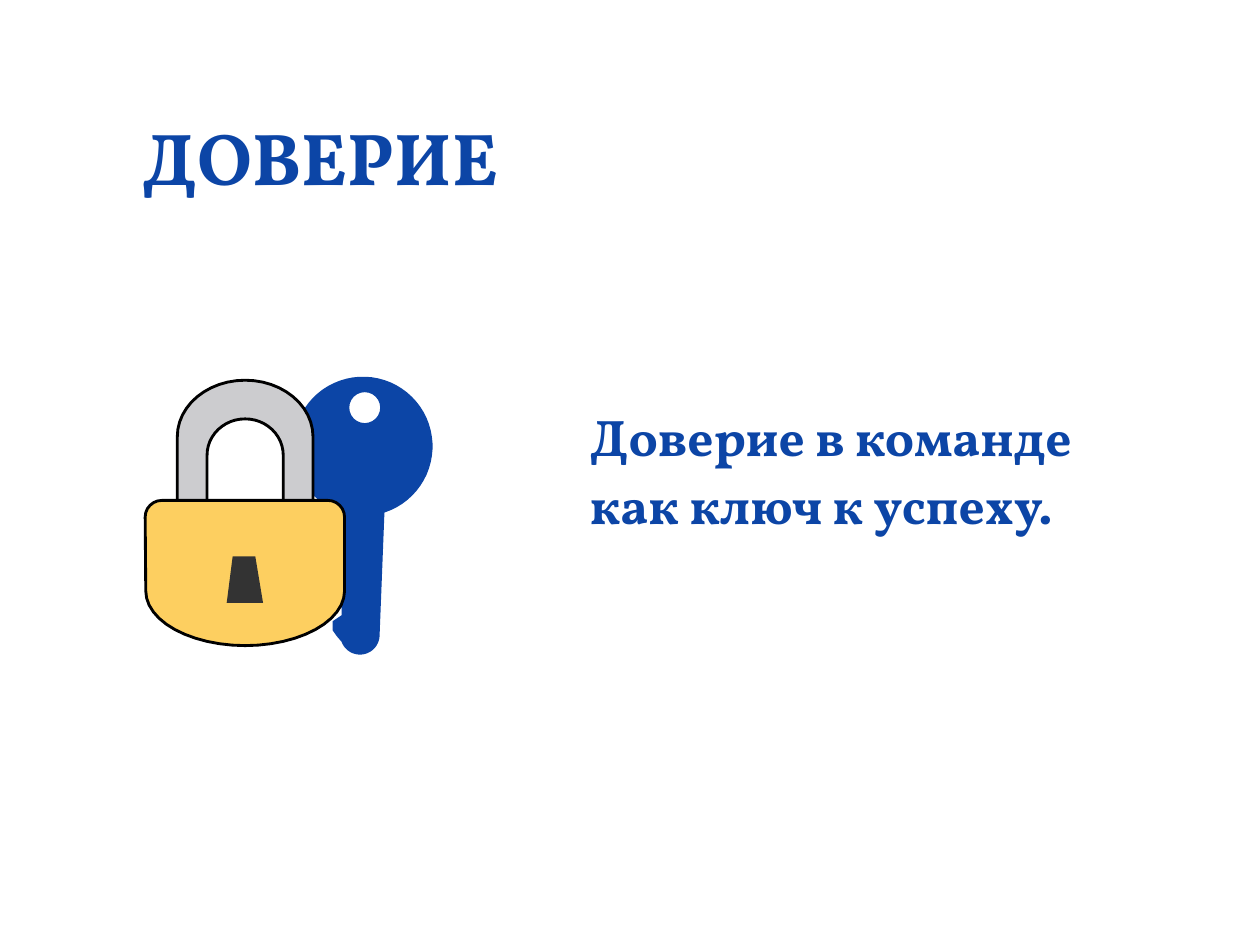
from math import cos, radians, sin

from pptx import Presentation
from pptx.dml.color import RGBColor
from pptx.enum import text
from pptx.util import Cm, Pt

BLUE = RGBColor(0x0C, 0x45, 0xA6)
SILVER = RGBColor(0xCC, 0xCC, 0xCF)
GOLD = RGBColor(0xFD, 0xCF, 0x60)
BLACK = RGBColor(0x00, 0x00, 0x00)
DARK_GREY = RGBColor(0x33, 0x33, 0x33)
FONT = "Vollkorn"


def arc(center_x, center_y, radius_x, radius_y, start, end, steps=24):
    angles = [radians(start + (end - start) * i / steps) for i in range(steps + 1)]
    return [(center_x + radius_x * cos(a), center_y + radius_y * sin(a)) for a in angles]


def add_outline(group, contours, fill, line=None):
    contours = [[(Cm(x), Cm(y)) for x, y in contour] for contour in contours]
    builder = group.shapes.build_freeform(*contours[0][0])
    builder.add_line_segments(contours[0][1:], close=True)
    for contour in contours[1:]:
        builder.move_to(*contour[0])
        builder.add_line_segments(contour[1:], close=True)
    shape = builder.convert_to_shape()
    shape.shadow.inherit = False
    shape.fill.solid()
    shape.fill.fore_color.rgb = fill
    if line is None:
        shape.line.fill.background()
    else:
        shape.line.color.rgb = line
        shape.line.width = Pt(1.37)


def add_text(slide, words, left, top, width, height, size, line_spacing=1.0):
    box = slide.shapes.add_textbox(Cm(left), Cm(top), Cm(width), Cm(height))
    frame = box.text_frame
    frame.margin_left = frame.margin_top = frame.margin_right = frame.margin_bottom = 0
    frame.word_wrap = True
    frame.auto_size = text.MSO_AUTO_SIZE.SHAPE_TO_FIT_TEXT
    frame.text = words
    paragraph = frame.paragraphs[0]
    paragraph.line_spacing = line_spacing
    font = paragraph.runs[0].font
    font.name = FONT
    font.size = Pt(size)
    font.bold = True
    font.color.rgb = BLUE


def add_key(group):
    head = arc(6.1, 7.5, 1.17, 1.17, 112, 432, 60)
    tip = arc(6.05, 10.67, 0.33, 0.33, 0, 160)
    lower_tooth = [(5.66, 10.69), (5.59, 10.59), (5.59, 10.44), (5.74, 10.34)]
    upper_tooth = [(5.74, 10.21), (5.61, 10.08), (5.61, 9.8), (5.77, 9.68)]
    shaft_top = [(5.77, 9.4), (5.64, 9.17)]
    hole = arc(6.13, 6.85, 0.26, 0.26, 360, 0)
    add_outline(group, [head + tip + lower_tooth + upper_tooth + shaft_top, hole], BLUE)


def add_padlock(group):
    outer = arc(4.12, 7.34, 1.14, 0.95, 180, 360)
    inner = arc(4.12, 7.65, 0.64, 0.61, 360, 180)
    shackle = [(2.98, 9.09)] + outer + [(5.26, 9.09), (4.76, 9.09)] + inner + [(3.48, 9.09)]
    add_outline(group, [shackle], SILVER, BLACK)

    top_left = arc(2.72, 8.69, 0.28, 0.28, 180, 270, 6)
    top_right = arc(5.51, 8.69, 0.28, 0.28, 270, 360, 6)
    bottom = arc(4.12, 9.93, 1.67, 0.92, 0, 180)
    add_outline(group, [top_left + top_right + bottom], GOLD, BLACK)

    keyhole = [(3.81, 10.13), (3.91, 9.35), (4.29, 9.35), (4.42, 10.13)]
    add_outline(group, [keyhole], DARK_GREY)


def main():
    presentation = Presentation()
    presentation.slide_width = Cm(21.17)
    presentation.slide_height = Cm(15.88)
    slide = presentation.slides.add_slide(presentation.slide_layouts[6])

    add_text(slide, "Доверие в команде как ключ к успеху.", 9.91, 6.7, 9.34, 2.31, 24.5, 1.1)
    add_text(slide, "ДОВЕРИЕ", 2.39, 1.88, 6.6, 1.5, 35)

    group = slide.shapes.add_group_shape()
    add_key(group)
    add_padlock(group)

    presentation.save("out.pptx")


if __name__ == "__main__":
    main()
